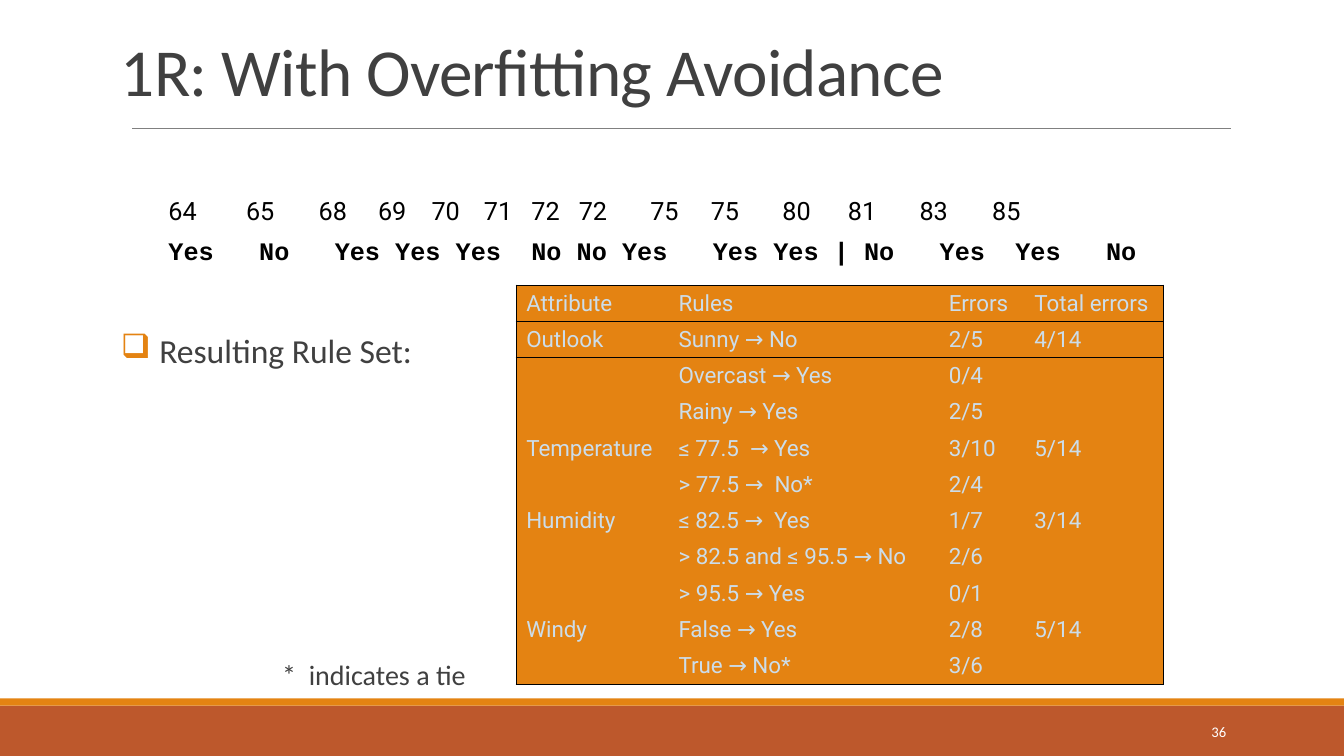
import dataclasses
from typing import Optional

import pptx
import pptx.dml.color
import pptx.enum.shapes
import pptx.enum.text
import pptx.oxml
import pptx.oxml.ns
import pptx.util
from pptx.util import Inches

COLORS = {"rust": "BD582C", "orange": "E48312", "gray": "808080", "text": "404040",
          "black": "000000", "white": "FFFFFF", "pale": "CCDDEA"}
NO_STYLE = "{2D5ABB26-0587-4C30-8999-92F81FD0307C}"
ANCHOR = pptx.enum.text.MSO_ANCHOR
ALIGN = pptx.enum.text.PP_ALIGN


@dataclasses.dataclass
class Style:
    size: float
    font: str = "Calibri"
    color: str = "text"
    bold: bool = False


@dataclasses.dataclass
class Label:
    text: str
    left: float
    top: float
    width: float
    height: float
    style: Style
    side_inset: float = 0.1
    anchor: ANCHOR = ANCHOR.TOP
    align: ALIGN = ALIGN.LEFT
    line_spacing: float = 0.9
    tracking: Optional[int] = None
    bullet: Optional[str] = None


@dataclasses.dataclass
class Band:
    top: float
    height: float
    color: str


@dataclasses.dataclass
class Sequence:
    words: list[str]
    stops: list[float]
    style: Style


def rgb(name: str) -> pptx.dml.color.RGBColor:
    return pptx.dml.color.RGBColor.from_string(COLORS[name])


def element(xml: str):
    tag, rest = xml.split(" ", 1)
    return pptx.oxml.parse_xml(f"<a:{tag} {pptx.oxml.ns.nsdecls('a')} {rest}")


def add_span(para, text: str, style: Style):
    span = para.add_run()
    span.text = text
    span.font.size = pptx.util.Pt(style.size)
    span.font.name = style.font
    span.font.bold = style.bold
    span.font.color.rgb = rgb(style.color)
    return span


def add_band(page, band: Band) -> None:
    shape = page.shapes.add_shape(pptx.enum.shapes.MSO_SHAPE.RECTANGLE, 0, Inches(band.top),
                                  Inches(13.33), Inches(band.height))
    shape.shadow.inherit = False
    shape.fill.solid()
    shape.fill.fore_color.rgb = rgb(band.color)
    shape.line.fill.background()


def add_label(page, label: Label) -> None:
    box = page.shapes.add_textbox(Inches(label.left), Inches(label.top),
                                  Inches(label.width), Inches(label.height))
    frame = box.text_frame
    frame.word_wrap = True
    frame.vertical_anchor = label.anchor
    frame.margin_left = frame.margin_right = Inches(label.side_inset)
    para = frame.paragraphs[0]
    para.alignment = label.align
    para.line_spacing = label.line_spacing
    if label.bullet:
        properties = para._p.get_or_add_pPr()
        properties.set("marL", str(Inches(0.38)))
        properties.set("indent", str(Inches(-0.38)))
        properties.append(element(f'buClr ><a:srgbClr val="{COLORS["orange"]}"/></a:buClr>'))
        properties.append(element(f'buChar char="{label.bullet}"/>'))
    span = add_span(para, label.text, label.style)
    if label.tracking is not None:
        span.font._element.set("spc", str(label.tracking))


def add_plain_table(page, left: float, top: float, widths: list[float], rows: int, height: float):
    frame = page.shapes.add_table(rows, len(widths), Inches(left), Inches(top),
                                  Inches(sum(widths)), Inches(rows * height))
    table = frame.table
    table.first_row = table.horz_banding = False
    table._tbl.tblPr.find(pptx.oxml.ns.qn("a:tableStyleId")).text = NO_STYLE
    for column, width in zip(table.columns, widths):
        column.width = Inches(width)
    return table


def add_sequence(para, sequence: Sequence) -> None:
    stops = "".join(f'<a:tab pos="{Inches(stop)}" algn="l"/>' for stop in sequence.stops)
    para._p.get_or_add_pPr().append(element(f"tabLst >{stops}</a:tabLst>"))
    add_span(para, "\t".join(sequence.words), sequence.style)


def add_border(cell, side: str) -> None:
    cell._tc.get_or_add_tcPr().append(element(
        f'ln{side} w="12700"><a:solidFill><a:srgbClr val="{COLORS["black"]}"/>'
        f"</a:solidFill></a:ln{side}>"))


def add_rules(page, rows: list[tuple[str, ...]]) -> None:
    table = add_plain_table(page, 5.12, 2.83, [1.51, 2.68, 0.85, 1.38], len(rows), 0.36)
    last_row, last_column = len(rows) - 1, len(rows[0]) - 1
    for r, row in enumerate(rows):
        for c, text in enumerate(row):
            cell = table.cell(r, c)
            cell.margin_top = cell.margin_bottom = Inches(0.02)
            cell.vertical_anchor = ANCHOR.MIDDLE
            # Outer frame and the line under the header
            edges = {"L": c == 0, "R": c == last_column, "T": r <= 1, "B": r in (0, last_row)}
            for side, drawn in edges.items():
                if drawn:
                    add_border(cell, side)
            cell.fill.solid()
            cell.fill.fore_color.rgb = rgb("orange")
            if text:
                add_span(cell.text_frame.paragraphs[0], text, Style(16, "Roboto", "pale"))


BANDS = [Band(7, 0.5, "rust"), Band(6.93, 0.07, "orange")]
LABELS = [
    Label("1R: With Overfitting Avoidance", 1.1, 0.06, 11, 1.08, Style(48),
          anchor=ANCHOR.BOTTOM, line_spacing=0.85, tracking=-50),
    Label("Resulting Rule Set:", 1.2, 3.27, 11, 3.15, Style(24), side_inset=0, bullet="❑"),
    Label("36", 10.83, 7.06, 1.43, 0.4, Style(10.5, color="white"),
          anchor=ANCHOR.MIDDLE, align=ALIGN.RIGHT, line_spacing=1.0),
    Label("*  indicates a tie", 2.7, 6.51, 2.42, 0.57, Style(20)),
]
CHARACTER = 0.15  # width of one monospaced character
TEMPERATURES = Sequence(
    "64 65 68 69 70 71 72 72 75 75 80 81 83 85".split(),
    [0.77, 1.49, 2.08, 2.61, 3.13, 3.6, 4.07, 4.78, 5.38, 6.09, 6.74, 7.45, 8.17],
    Style(18, "Roboto", "black"))
CLASSES = Sequence(
    "Yes No Yes Yes Yes No No Yes Yes Yes | No Yes Yes No".split(),
    [n * CHARACTER for n in (6, 11, 15, 19, 24, 27, 30, 36, 40, 44, 46, 51, 56, 62)],
    Style(18, "Courier New", "black", bold=True))
RULES = [
    ("Attribute", "Rules", "Errors", "Total errors"),
    ("Outlook", "Sunny → No", "2/5", "4/14"),
    ("", "Overcast → Yes", "0/4", ""),
    ("", "Rainy → Yes", "2/5", ""),
    ("Temperature", "≤ 77.5  → Yes", "3/10", "5/14"),
    ("", "> 77.5 →  No*", "2/4", ""),
    ("Humidity", "≤ 82.5 →  Yes", "1/7", "3/14"),
    ("", "> 82.5 and ≤ 95.5 → No", "2/6", ""),
    ("", "> 95.5 → Yes", "0/1", ""),
    ("Windy", "False → Yes", "2/8", "5/14"),
    ("", "True → No*", "3/6", ""),
]


def main() -> None:
    deck = pptx.Presentation()
    deck.slide_width, deck.slide_height = Inches(13.33), Inches(7.5)
    page = deck.slides.add_slide(deck.slide_layouts[6])

    # Footer bands and title rule
    for band in BANDS:
        add_band(page, band)
    rule = page.shapes.add_connector(pptx.enum.shapes.MSO_CONNECTOR.STRAIGHT,
                                     Inches(1.31), Inches(1.27), Inches(12.21), Inches(1.27))
    rule.line.color.rgb = rgb("gray")
    rule.line.width = pptx.util.Pt(0.5)
    rule._element.spPr.append(element("effectLst />"))

    # Title, bullet, page number and footnote
    for label in LABELS:
        add_label(page, label)

    # Sorted temperatures above their classes
    frame = add_plain_table(page, 1.57, 1.91, [10.63], 1, 0.85).cell(0, 0).text_frame
    add_sequence(frame.paragraphs[0], TEMPERATURES)
    second = frame.add_paragraph()
    second.space_before = pptx.util.Pt(9)
    add_sequence(second, CLASSES)

    # Rule set
    add_rules(page, RULES)
    deck.save("out.pptx")


if __name__ == "__main__":
    main()
